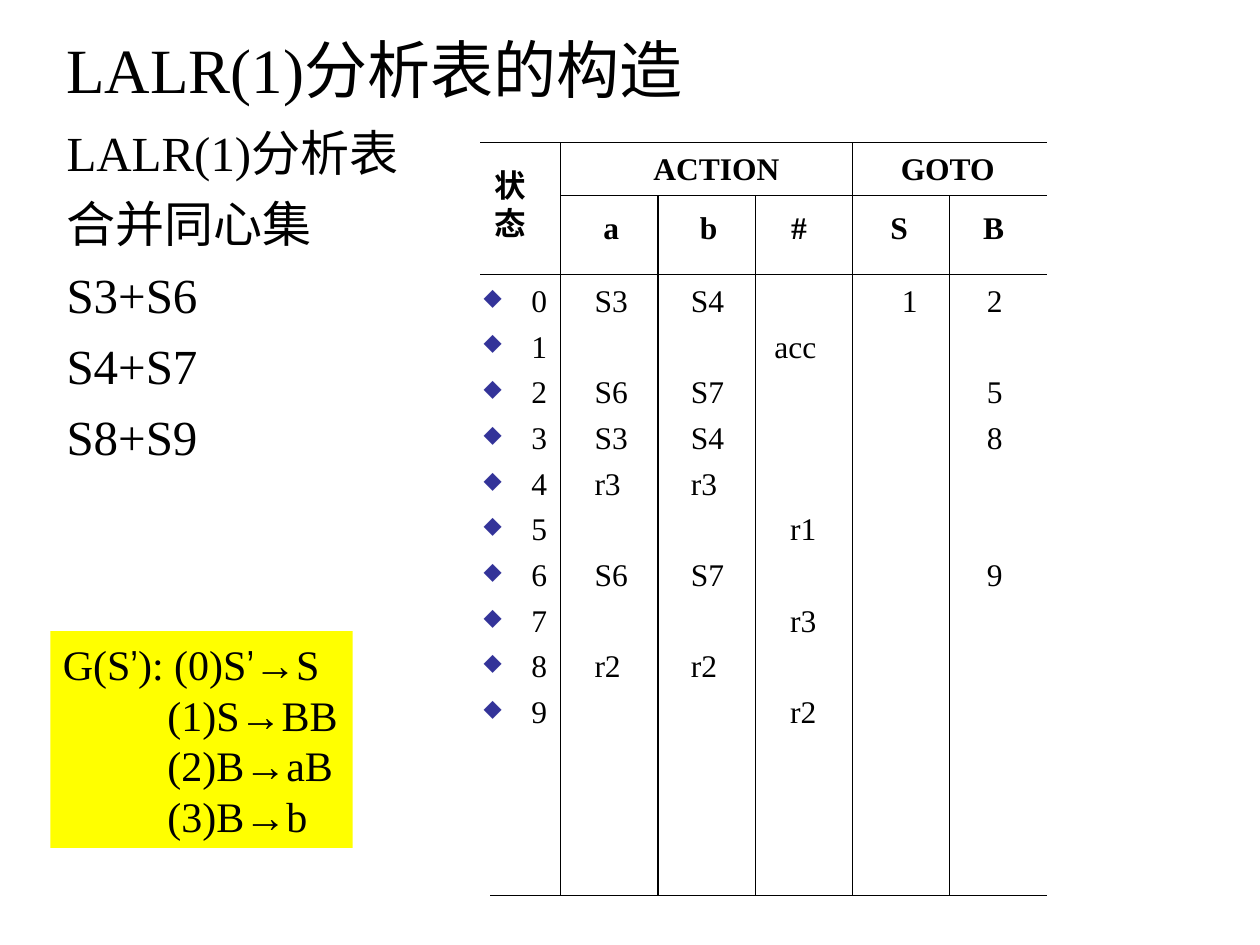
from collections import namedtuple

from lxml.etree import SubElement
from pptx import Presentation
from pptx.dml.color import RGBColor
from pptx.enum.shapes import MSO_CONNECTOR, MSO_SHAPE
from pptx.enum.text import MSO_ANCHOR, MSO_AUTO_SIZE, PP_ALIGN
from pptx.oxml.ns import qn
from pptx.util import Inches, Pt

Box = namedtuple("Box", "left top width height")

COLORS = {"ink": "000000", "bullet": "333399", "grammar": "FFFF00"}
LATIN, CJK, NARROW = "Times New Roman", "Noto Sans CJK SC", "Arial Narrow"

# The slide is a grid of 100 columns by 75 rows.
GRID_COLS, GRID_ROWS = 100, 75
TITLE_BOX = Box(4.3, 1.8, 71.6, 7.3)
TABLE_BOX = Box(38.1, 11.3, 45, 59.8)
BODY_BOX = Box(4.3, 9.2, 90.6, 61.9)
GRAMMAR_BOX = Box(4, 50.1, 24, 17.2)

STATE_WIDTH, SYMBOL_COUNT = 6.4, 5
GROUP_HEIGHT, HEADER_HEIGHT = 4.2, 10.5

# Label, row offset, then centre and width counted in symbol columns.
HEADERS = [
    ("ACTION", 0, 1.6, 1.57), ("GOTO", 0, 3.98, 1.23),
    ("a", 4.7, 0.52, 0.43), ("b", 4.7, 1.52, 0.44), ("#", 4.7, 2.45, 0.43),
    ("S", 4.7, 3.48, 0.44), ("B", 4.7, 4.45, 0.48),
]
# Where the entries of each symbol column stand, counted in symbol columns.
ENTRY_STOPS = [(0.35, "l"), (1.34, "l"), (2.63, "r"), (3.51, "l"), (4.48, "l")]
STATES = [
    ("0", "S3", "S4", "", "1", "2"),
    ("1", "", "", "acc"),
    ("2", "S6", "S7", "", "", "5"),
    ("3", "S3", "S4", "", "", "8"),
    ("4", "r3", "r3"),
    ("5", "", "", "r1"),
    ("6", "S6", "S7", "", "", "9"),
    ("7", "", "", "r3"),
    ("8", "r2", "r2"),
    ("9", "", "", "r2"),
]
MERGES = ["LALR(1)分析表", "合并同心集", "S3+S6", "S4+S7", "S8+S9"]
START_RULE = [("G(S", LATIN), ("’", NARROW), ("): (0)S", LATIN),
              ("’", NARROW), ("→S", LATIN)]
RULES = ["(1)S→BB", "(2)B→aB", "(3)B→b"]


def grid(units):
    return Inches(units / 10)


def color(key):
    return RGBColor.from_string(COLORS[key])


def add_run(paragraph, text, size, face=LATIN, bold=False):
    run = paragraph.add_run()
    run.text = text
    for name, value in {"size": Pt(size), "name": face, "bold": bold}.items():
        setattr(run.font, name, value)
    run.font.color.rgb = color("ink")
    SubElement(run.font._element, qn("a:ea"), typeface=CJK)


def add_paragraphs(frame, count, gap=0):
    """Return count paragraphs, set apart by gap points."""
    paragraphs = [frame.paragraphs[0]]
    for _ in range(count - 1):
        paragraphs.append(frame.add_paragraph())
        paragraphs[-1].space_before = Pt(gap)
    return paragraphs


def add_text(slide, box, **settings):
    frame = slide.shapes.add_textbox(*map(grid, box)).text_frame
    for name, value in ({"word_wrap": True} | settings).items():
        setattr(frame, name, value)
    return frame


def add_label(slide, box, lines, face=LATIN):
    frame = add_text(slide, box, word_wrap=False,
                     auto_size=MSO_AUTO_SIZE.SHAPE_TO_FIT_TEXT)
    for paragraph, line in zip(add_paragraphs(frame, len(lines)), lines):
        paragraph.alignment = PP_ALIGN.CENTER
        add_run(paragraph, line, 18, face, bold=True)


def add_rule(slide, x1, y1, x2, y2):
    rule = slide.shapes.add_connector(MSO_CONNECTOR.STRAIGHT,
                                      *map(grid, (x1, y1, x2, y2)))
    rule.line.color.rgb = color("ink")
    rule.line.width = Pt(0.75)
    SubElement(rule._element.spPr, qn("a:effectLst"))


def add_bullet_and_tabs(paragraph, indent, stops):
    props = paragraph._p.get_or_add_pPr()
    props.set("marL", str(grid(indent)))
    props.set("indent", str(-grid(indent)))
    tint = SubElement(props, qn("a:buClr"))
    SubElement(tint, qn("a:srgbClr"), val=COLORS["bullet"])
    SubElement(props, qn("a:buSzPct"), val="75000")
    SubElement(props, qn("a:buChar"), char="◆")
    tabs = SubElement(props, qn("a:tabLst"))
    for position, side in stops:
        SubElement(tabs, qn("a:tab"), pos=str(grid(position)), algn=side)


def add_title(slide, box):
    frame = add_text(slide, box, vertical_anchor=MSO_ANCHOR.MIDDLE)
    for text, face in (("LALR(1)", LATIN), ("分析表的构造", CJK)):
        add_run(frame.paragraphs[0], text, 36, face)


def add_table_rules(slide, box, column):
    right, bottom = box.left + box.width, box.top + box.height
    symbols = box.left + STATE_WIDTH
    group_line = box.top + GROUP_HEIGHT
    for x, y in ((box.left, box.top), (box.left, box.top + HEADER_HEIGHT),
                 (box.left + 0.8, bottom), (symbols, group_line)):
        add_rule(slide, x, y, right, y)
    for index in range(SYMBOL_COUNT):
        x = symbols + index * column
        top = box.top if index in (0, 3) else group_line
        add_rule(slide, x, top, x, bottom)


def add_states(slide, box, stops):
    frame = add_text(slide, box)
    for paragraph, state in zip(add_paragraphs(frame, len(STATES), 4.5), STATES):
        add_bullet_and_tabs(paragraph, 3.8, stops)
        add_run(paragraph, "\t".join(state), 18)


def add_parsing_table(slide, box):
    column = (box.width - STATE_WIDTH) / SYMBOL_COUNT
    symbols = box.left + STATE_WIDTH
    add_table_rules(slide, box, column)
    for text, row, centre, width in HEADERS:
        left = symbols + (centre - width / 2) * column
        add_label(slide, Box(left, box.top + row, width * column, 4), [text])
    add_label(slide, Box(box.left + 0.1, box.top + 1.4, 4.6, 7.1), "状态", CJK)

    left = box.left - 0.7
    text_left = left + 1
    stops = [(symbols - text_left + at * column, side) for at, side in ENTRY_STOPS]
    add_states(slide, Box(left, box.top + HEADER_HEIGHT, box.width + 0.7,
                          box.height - HEADER_HEIGHT), stops)


def add_merges(slide, box):
    frame = add_text(slide, box)
    for paragraph, line in zip(add_paragraphs(frame, len(MERGES), 7), MERGES):
        add_run(paragraph, line, 28)


def add_grammar(slide, box):
    panel = slide.shapes.add_shape(MSO_SHAPE.RECTANGLE, *map(grid, box))
    panel.shadow.inherit = False
    panel.fill.solid()
    panel.fill.fore_color.rgb = color("grammar")
    panel.line.fill.background()
    frame = panel.text_frame
    frame.word_wrap = False
    frame.auto_size = MSO_AUTO_SIZE.SHAPE_TO_FIT_TEXT
    start, *others = add_paragraphs(frame, len(RULES) + 1)
    start.alignment = PP_ALIGN.LEFT
    for text, face in START_RULE:
        add_run(start, text, 24, face)
    for paragraph, rule in zip(others, RULES):
        paragraph.alignment = PP_ALIGN.LEFT
        paragraph._p.get_or_add_pPr().set("marL", str(grid(8.3)))
        add_run(paragraph, rule, 24)


def main():
    deck = Presentation()
    deck.slide_width, deck.slide_height = grid(GRID_COLS), grid(GRID_ROWS)
    slide = deck.slides.add_slide(deck.slide_layouts[6])
    add_title(slide, TITLE_BOX)
    add_parsing_table(slide, TABLE_BOX)
    add_merges(slide, BODY_BOX)
    add_grammar(slide, GRAMMAR_BOX)
    deck.save("out.pptx")


if __name__ == "__main__":
    main()
